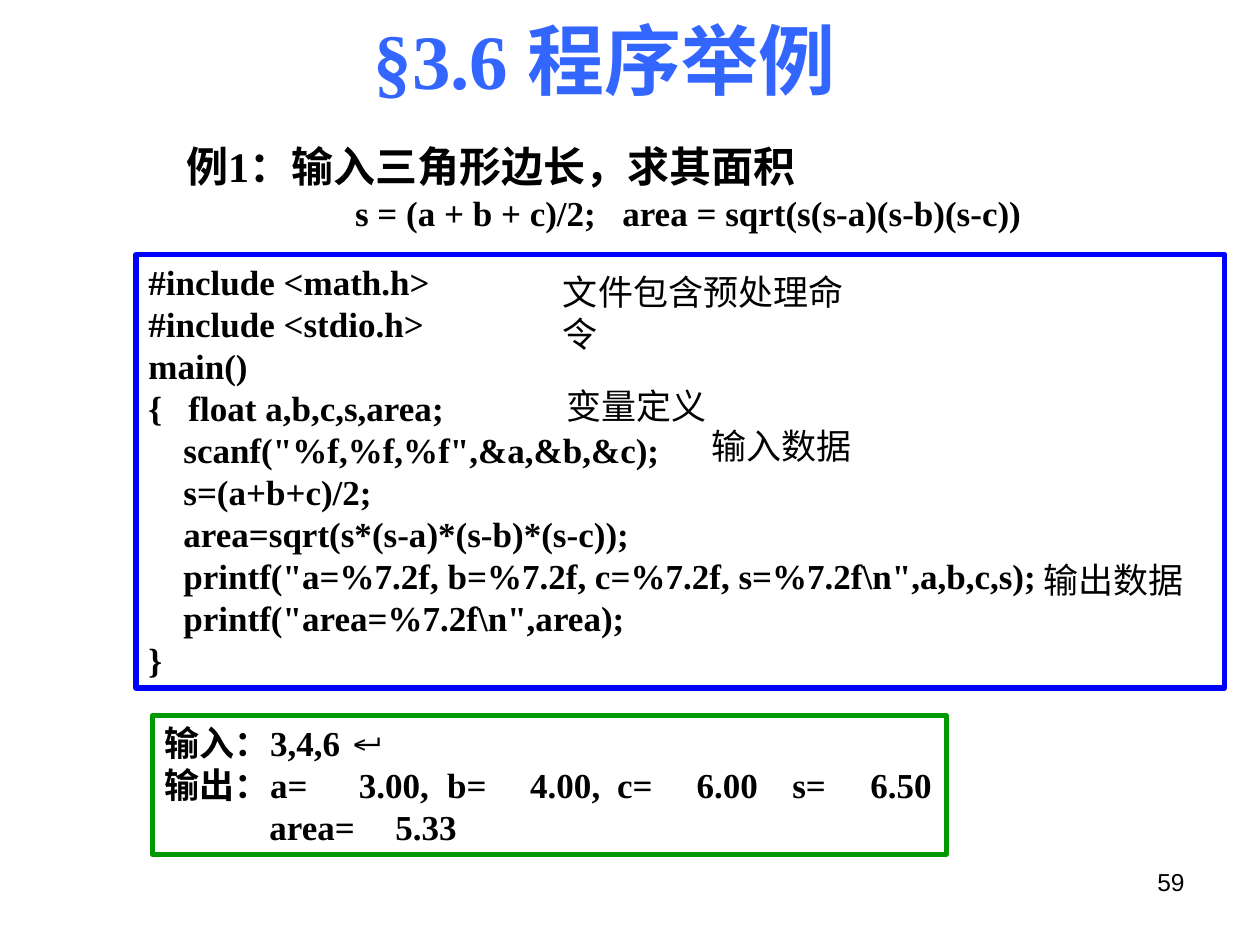
from lxml import etree
from pptx import Presentation
from pptx.dml.color import RGBColor
from pptx.enum.shapes import MSO_SHAPE
from pptx.enum.text import MSO_ANCHOR, PP_ALIGN
from pptx.oxml.ns import qn
from pptx.util import Inches, Pt

RECTANGLE = MSO_SHAPE.RECTANGLE
TOP = MSO_ANCHOR.TOP
LEFT, CENTER, RIGHT = PP_ALIGN.LEFT, PP_ALIGN.CENTER, PP_ALIGN.RIGHT

COLORS = {"title": "3366FF", "text": "000000", "paper": "FFFFFF",
          "code": "0000FF", "result": "009900"}
SERIF, SANS = "Times New Roman", "Arial"
WIDTH, HEIGHT = Inches(10), Inches(7.5)
COL, ROW = WIDTH / 100, HEIGHT / 75  # grid of 100 columns and 75 rows

CODE = r'''#include <math.h>
#include <stdio.h>
main()
{   float a,b,c,s,area;
    scanf("%f,%f,%f",&a,&b,&c);
    s=(a+b+c)/2;
    area=sqrt(s*(s-a)*(s-b)*(s-c));
    printf("a=%7.2f, b=%7.2f, c=%7.2f, s=%7.2f\n",a,b,c,s);
    printf("area=%7.2f\n",area);
}'''

# Remark, and its column, row and width inside the code box
REMARKS = [("文件包含预处理命令", 32.9, 0.8, 27),
           ("变量定义", 33.2, 9.8, 13.1),
           ("输入数据", 44.7, 13, 13.1),
           ("输出数据", 71, 23.6, 13.1)]

# Runs, indent and tab stops (columns) of each line of the program's dialogue
DIALOGUE = [([("输入：3,4,6 ", SERIF), ("↵", SANS)], 0, []),
            ([("输出：a=\t3.00,\tb=\t4.00,\tc=\t6.00\ts=\t6.50", SERIF)], 0,
             [15.4, 22.4, 29, 35.9, 42.2, 49.8, 56]),
            ([("area=\t5.33", SERIF)], 8.3, [17.9])]


def color(key):
    return RGBColor.from_string(COLORS[key])


def grid(box):
    left, top, width, height = box
    return [round(v) for v in (left * COL, top * ROW, width * COL, height * ROW)]


def write(paragraph, runs, size=20, bold=True, ink="text", align=LEFT,
          indent=0, tabs=()):
    properties = paragraph._p.get_or_add_pPr()
    if indent:
        properties.set("marL", str(round(indent * COL)))
        properties.set("indent", "0")
    if tabs:
        stops = etree.SubElement(properties, qn("a:tabLst"))
        for column in tabs:
            etree.SubElement(stops, qn("a:tab"), pos=str(round(column * COL)), algn="l")
    paragraph.alignment = align
    for text, face in runs:
        run = paragraph.add_run()
        run.text = text
        run.font.name, run.font.size, run.font.bold = face, Pt(size), bold
        run.font.color.rgb = color(ink)


def add_line(shapes, box, text, face=SERIF, wrap=True, **style):
    frame = shapes.add_textbox(*grid(box)).text_frame
    frame.word_wrap = wrap
    write(frame.paragraphs[0], [(text, face)], **style)


def add_frame(shapes, box, edge, lines, filled):
    frame_box = shapes.add_shape(RECTANGLE, *grid(box))
    frame_box.shadow.inherit = False
    if filled:
        frame_box.fill.solid()
        frame_box.fill.fore_color.rgb = color("paper")
    else:
        frame_box.fill.background()
    frame_box.line.color.rgb = color(edge)
    frame_box.line.width = Pt(3)
    frame = frame_box.text_frame
    frame.word_wrap = True
    frame.vertical_anchor = TOP
    frame.margin_right = 0
    for i, (runs, indent, tabs) in enumerate(lines):
        paragraph = frame.add_paragraph() if i else frame.paragraphs[0]
        write(paragraph, runs, indent=indent, tabs=tabs)


def add_title(slide, box):
    title = slide.shapes.title
    title.left, title.top, title.width, title.height = grid(box)
    title.text_frame.vertical_anchor = TOP
    write(title.text_frame.paragraphs[0], [("§3.6 程序举例", SERIF)],
          size=44, ink="title", align=CENTER)


def add_problem(slide, box):
    left, top, width, height = box
    add_line(slide.shapes, (left, top, 54.3, 5), "例1：输入三角形边长，求其面积",
             size=24, indent=0.8)
    add_line(slide.shapes, (left + 14.2, top + 4, width - 14.2, height - 4),
             "s = (a + b + c)/2;\tarea = sqrt(s(s-a)(s-b)(s-c))", tabs=[21.2])


def add_program(slide, box):
    group = slide.shapes.add_group_shape()
    lines = [([(line, SERIF)], 0, []) for line in CODE.split("\n")]
    add_frame(group.shapes, box, "code", lines, filled=True)
    for remark, column, row, width in REMARKS:
        add_line(group.shapes, (box[0] + column, box[1] + row, width, 4.4),
                 remark, wrap=False, bold=False)


def main():
    deck = Presentation()
    deck.slide_width, deck.slide_height = WIDTH, HEIGHT
    slide = deck.slides.add_slide(deck.slide_layouts[5])
    add_title(slide, (10.6, 0.5, 74.8, 8.4))
    add_problem(slide, (13, 10.7, 74, 8.4))
    # Program run, then the program itself
    add_frame(slide.shapes, (12.1, 56.8, 63, 11), "result", DIALOGUE, filled=False)
    add_program(slide, (10.8, 20.2, 86.4, 34.4))
    # Page number
    add_line(slide.shapes, (71.7, 68.3, 23.3, 5.2), "59", face=SANS,
             size=14, bold=False, align=RIGHT)
    deck.save("out.pptx")


if __name__ == "__main__":
    main()
